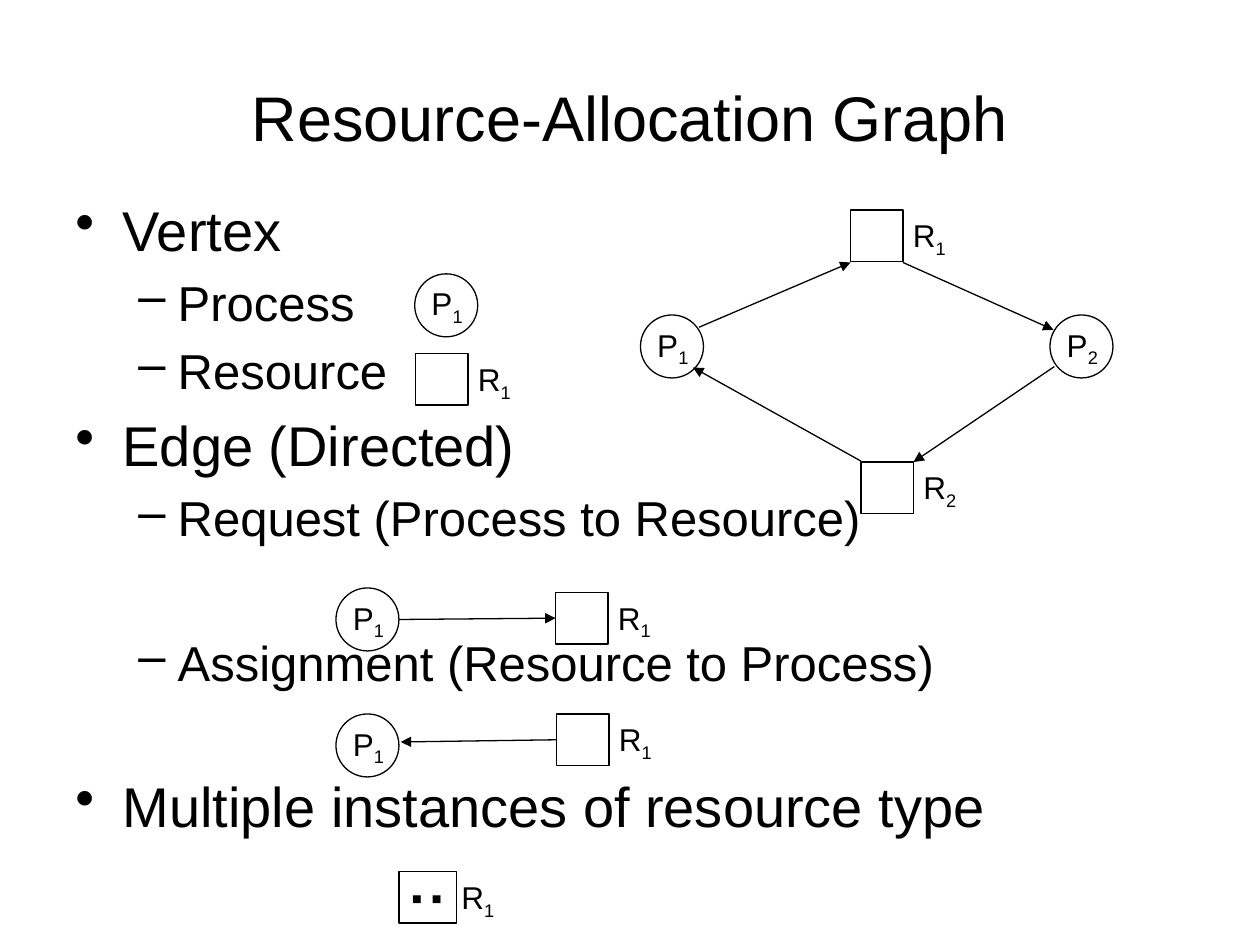
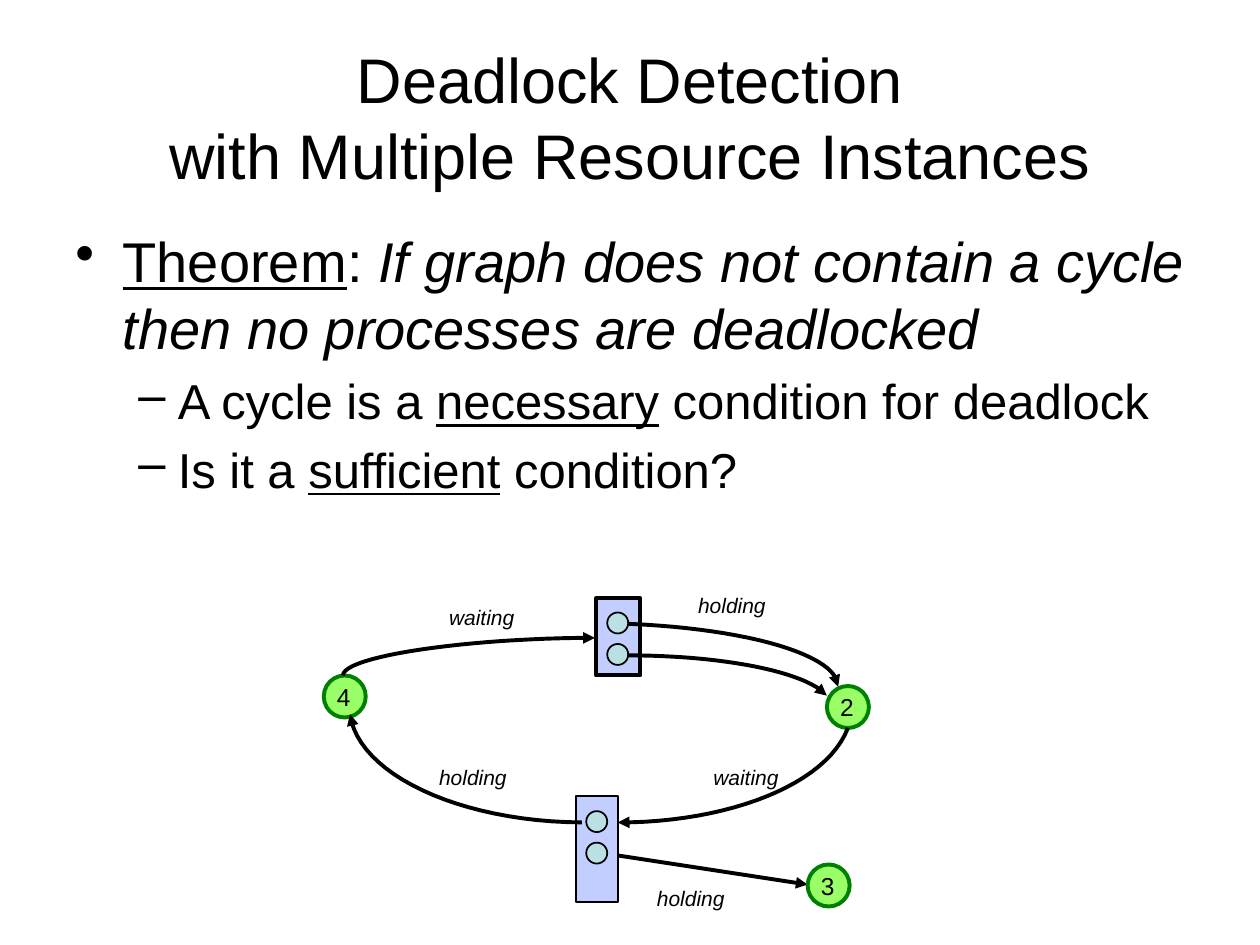
from lxml import etree
from pptx import Presentation
from pptx.dml.color import RGBColor
from pptx.enum.shapes import MSO_CONNECTOR, MSO_SHAPE
from pptx.enum.text import MSO_ANCHOR, PP_ALIGN
from pptx.oxml.ns import qn
from pptx.util import Pt

ELLIPSE, RECT = MSO_SHAPE.OVAL, MSO_SHAPE.RECTANGLE
STRAIGHT = MSO_CONNECTOR.STRAIGHT
CENTER, MIDDLE, BOTTOM = PP_ALIGN.CENTER, MSO_ANCHOR.MIDDLE, MSO_ANCHOR.BOTTOM
BLACK, BLUE, TEAL = "000000", "C1CEFF", "BBE0E3"
LIME, GREEN = "99FF66", "008000"
FONT = "Arial"
# Per outline level: size, space before, left margin, indent, bullet
LEVELS = [(32, 6.4, 27, -27, "•"), (28, 5.6, 58.5, -22.5, "–")]
LEFT_SIDE = 1


def add_text(slide, box, paragraphs, size, wrap=True):
    """Add a text box; each paragraph is a list of (text, style) runs,
    where style may hold u (underline), i (italic) or s (subscript)."""
    frame = slide.shapes.add_textbox(*map(Pt, box)).text_frame
    frame.word_wrap = wrap
    for index, runs in enumerate(paragraphs):
        paragraph = frame.paragraphs[0] if index == 0 else frame.add_paragraph()
        paragraph.font.name = FONT
        paragraph.font.size = Pt(size)
        paragraph.font.color.rgb = RGBColor.from_string(BLACK)
        for text, style in runs:
            run = paragraph.add_run()
            run.text = text
            if "u" in style:
                run.font.underline = True
            if "i" in style:
                run.font.italic = True
            if "s" in style:
                run._r.get_or_add_rPr().set("baseline", "-25000")
    return frame


def add_node(slide, kind, box, fill=None, line=BLACK, width=0.75):
    node = slide.shapes.add_shape(kind, *map(Pt, box))
    node.shadow.inherit = False
    if fill:
        node.fill.solid()
        node.fill.fore_color.rgb = RGBColor.from_string(fill)
    else:
        node.fill.background()
    node.line.color.rgb = RGBColor.from_string(line)
    node.line.width = Pt(width)
    return node


prs = Presentation()
prs.slide_width, prs.slide_height = Pt(720), Pt(540)

# Titles and outlines: (title lines, outline box, (level, extra space before, runs))
pages = [
    (["Resource-Allocation Graph"], (36, 108, 654, 420), [
        (0, 0, [("Vertex", "")]),
        (1, 0, [("Process", "")]),
        (1, 0, [("Resource", "")]),
        (0, 0, [("Edge (Directed)", "")]),
        (1, 0, [("Request (Process to Resource)", "")]),
        (1, 43.4, [("Assignment (Resource to Process)", "")]),
        (0, 39.6, [("Multiple instances of resource type", "")]),
    ]),
    (["Deadlock Detection", "with Multiple Resource Instances"], (36, 126, 660, 192), [
        (0, 0, [("Theorem", "u"), (": ", ""),
                ("If graph does not contain a cycle then no processes are deadlocked", "i")]),
        (1, 0, [("A cycle is a ", ""), ("necessary", "u"), (" condition for deadlock", "")]),
        (1, 0, [("Is it a ", ""), ("sufficient", "u"), (" condition?", "")]),
    ]),
]
slides = []
for title_lines, outline_box, outline in pages:
    slide = prs.slides.add_slide(prs.slide_layouts[6])
    slides.append(slide)
    title = add_text(slide, (36, 21.6, 648, 90), [[(line, "")] for line in title_lines], 36)
    title.vertical_anchor = MIDDLE
    for paragraph in title.paragraphs:
        paragraph.alignment = CENTER
    body = add_text(slide, outline_box, [runs for _, _, runs in outline], 32)
    for paragraph, (level, extra, _) in zip(body.paragraphs, outline):
        size, before, margin, indent, bullet = LEVELS[level]
        paragraph.level = level
        paragraph.font.size = Pt(size)
        paragraph.space_before = Pt(before + extra)
        props = paragraph._p.get_or_add_pPr()
        props.set("marL", str(Pt(margin)))
        props.set("indent", str(Pt(indent)))
        mark = etree.Element(qn("a:buChar"), char=bullet)
        props.find(qn("a:defRPr")).addprevious(mark)
graph, detection = slides

# Resource-allocation graph: processes, resources and edges
for left, top, number in [(237, 156.5, "1"), (366, 180, "1"), (600, 180, "2"),
                          (192, 336, "1"), (192, 408, "1")]:
    add_text(graph, (left + 2.5, top + 2.5, 33, 29), [[("P", ""), (number, "s")]], 18, False)
    add_node(graph, ELLIPSE, (left, top, 36, 36))

resources = []
for left, top, width, number in [
        (237.5, 202, 30, "1"), (317.5, 338.5, 30, "1"), (318, 408, 30, "1"),
        (486, 120, 30, "1"), (492, 264, 30, "2"), (228, 498, 33, "1")]:
    resources.append(add_node(graph, RECT, (left, top, width, 29.5)))
    add_text(graph, (left + 28.5, top, 34, 29), [[("R", ""), (number, "s")]], 18, False)
add_text(graph, (228, 498, 33, 29.5), [[("▪ ▪", "")]], 18, False)

arrows = []
for slide, start, end, width in [
        (graph, (399.5, 187), (486, 150), 0.75),
        (graph, (516, 150), (602, 188.5), 0.75),
        (graph, (602.5, 209.5), (522, 264), 0.75),
        (graph, (492, 263.5), (396, 210), 0.75),
        (graph, (228, 354), (317.5, 353.25), 0.75),
        (graph, (318, 422.75), (229, 424), 0.75),
        (detection, (347.5, 488), (461.5, 505.5), 2.25)]:
    edge = slide.shapes.add_connector(STRAIGHT, *map(Pt, start + end))
    arrows.append((edge, width))
request, assignment = arrows[4][0], arrows[5][0]
request.end_connect(resources[1], LEFT_SIDE)
assignment.begin_connect(resources[2], LEFT_SIDE)

# Deadlock detection: resources with their instances, then processes
for box, width, instances in [
        ((329, 455, 24, 60.5), 1, [(335, 463.5), (335, 481.5)]),
        ((340.5, 342, 25.5, 44), 2.25, [(347, 350), (347, 368)])]:
    add_node(detection, RECT, box, BLUE, BLACK, width)
    for left, top in instances:
        add_node(detection, ELLIPSE, (left, top, 12, 12), TEAL, BLACK, 1)

for left, top, number in [(472.5, 392, "2"), (461.5, 494, "3"), (185, 386, "4")]:
    add_node(detection, ELLIPSE, (left, top, 24, 24), LIME, GREEN, 2.25)
    add_text(detection, (left + 0.5, top, 22.5, 24), [[(number, "")]], 14, False)

# Curved edges as cubic Bézier control points
STEPS = 24
for controls in [
        [(358.5, 374.5), (413.5, 374.5), (461, 384), (472.5, 397.5)],
        [(359.5, 356.5), (428.5, 359.5), (479, 374.5), (479, 392.5)],
        [(484.5, 416), (472.5, 448), (417, 470), (353, 470)],
        [(332.5, 470), (261.5, 469.5), (204.5, 442), (200, 408)],
        [(196, 386), (196, 375), (268, 364.5), (340, 364.5)]]:
    points = []
    for step in range(STEPS + 1):
        t = step / STEPS
        weights = ((1 - t) ** 3, 3 * t * (1 - t) ** 2, 3 * t * t * (1 - t), t ** 3)
        points.append(tuple(Pt(sum(w * c[axis] for w, c in zip(weights, controls)))
                            for axis in (0, 1)))
    builder = detection.shapes.build_freeform(*points[0])
    builder.add_line_segments(points[1:], close=False)
    curve = builder.convert_to_shape()
    curve.fill.background()
    arrows.append((curve, 2.25))

for arrow, width in arrows:
    arrow.line.color.rgb = RGBColor.from_string(BLACK)
    arrow.line.width = Pt(width)
    outline = arrow._element.spPr
    etree.SubElement(outline.get_or_add_ln(), qn("a:tailEnd"), type="triangle")
    etree.SubElement(outline, qn("a:effectLst"))

for left, top, state in [(391, 433.5, "waiting"), (240, 342, "waiting"),
                         (235, 433.5, "holding"), (359.5, 502.5, "holding"),
                         (383, 335, "holding")]:
    caption = add_text(detection, (left, top, 70.5, 21.5), [[(state, "i")]], 12)
    caption.vertical_anchor = BOTTOM
    caption.paragraphs[0].alignment = CENTER

prs.save("out.pptx")
